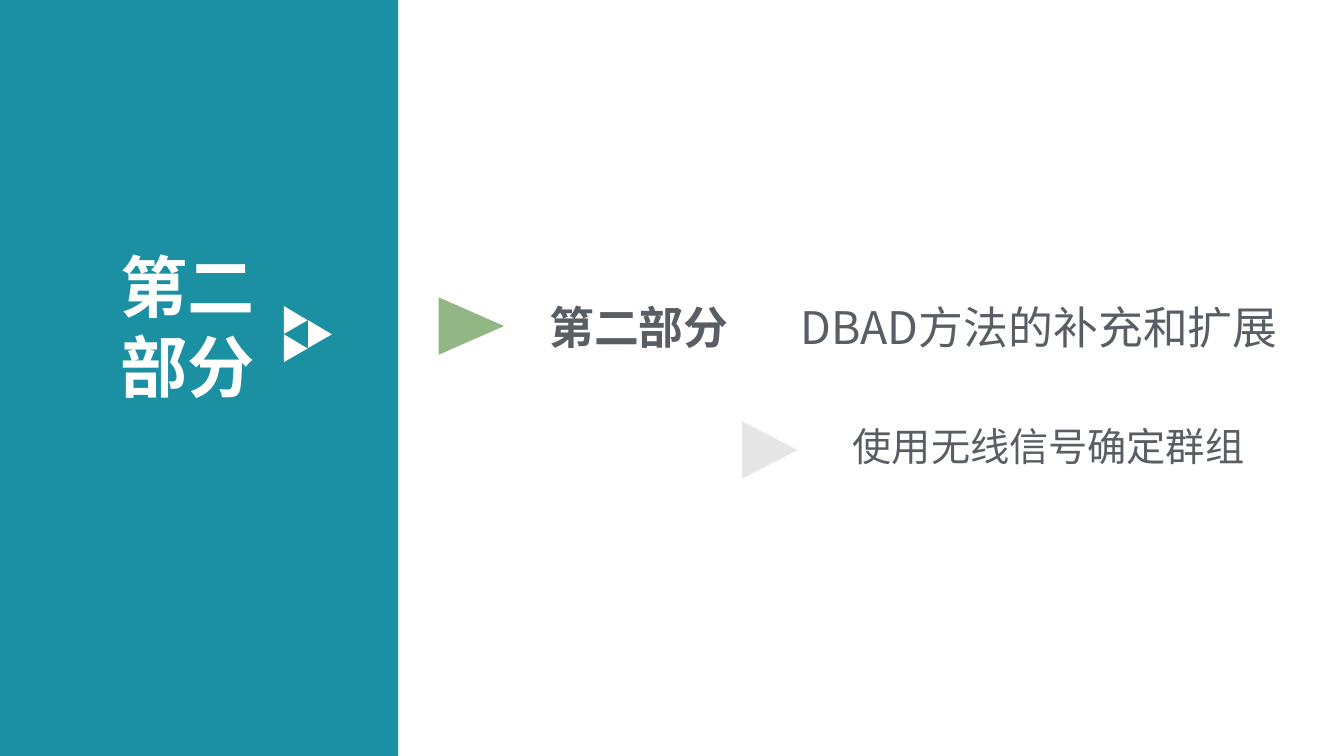
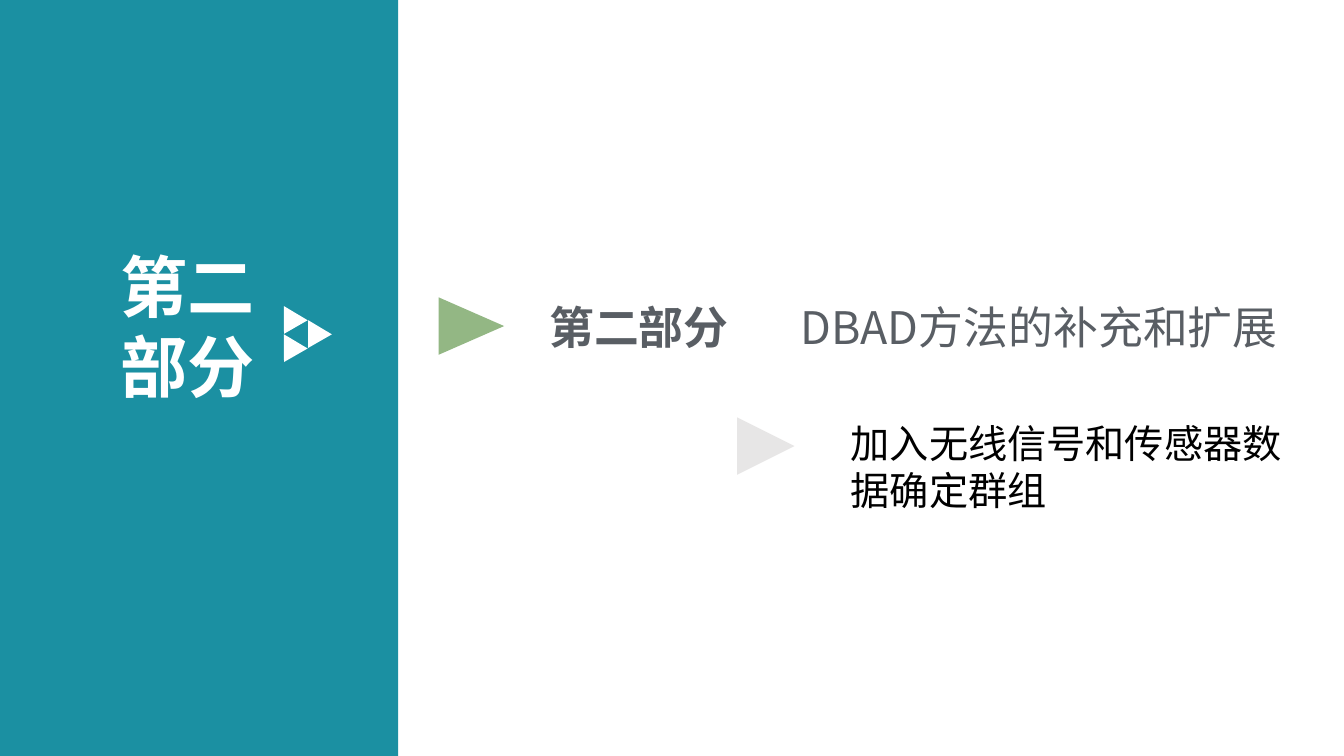
from dataclasses import dataclass

from pptx import Presentation
from pptx.dml.color import RGBColor as RGB
from pptx.enum.shapes import MSO_SHAPE as Shape
from pptx.enum.text import MSO_AUTO_SIZE as Fit
from pptx.oxml.ns import qn
from pptx.util import Inches, Pt

# Content: boxes are left, top, width, height in inches
PART = "第二部分"
TITLE = "DBAD方法的补充和扩展"
TOPICS = [
    {"text": "使用无线信号确定群组", "color": "595E64",
     "box": (8.36, 4.14, 4.46, 0.6), "mark": (7.35, 4.19, 0.57, 0.55)},
    {"text": "加入无线信号和传感器数据确定群组", "color": "000000",
     "box": (8.34, 4.11, 4.59, 1.07), "mark": (7.31, 4.14, 0.57, 0.57)},
]


@dataclass(frozen=True)
class Theme:
    font: str = "Noto Sans CJK SC"
    teal: str = "1B90A2"
    green: str = "93B784"
    pale: str = "E7E6E6"
    gray: str = "595E64"
    white: str = "FFFFFF"
    big: int = 48
    head: int = 32
    body: int = 28


T = Theme()


# Building blocks
def add_form(shapes, kind, box, color, turn=0):
    form = shapes.add_shape(kind, *map(Inches, box))
    form.shadow.inherit = False
    form.fill.solid()
    form.fill.fore_color.rgb = RGB.from_string(color)
    form.line.fill.background()
    form.rotation = turn


def add_text(shapes, text, box, size, color, bold=False):
    frame = shapes.add_textbox(*map(Inches, box)).text_frame
    frame.word_wrap = True
    frame.auto_size = Fit.SHAPE_TO_FIT_TEXT
    frame.text = text
    run = frame.paragraphs[0].runs[0]
    font = run.font
    font.name, font.size, font.bold = T.font, Pt(size), bold
    font.color.rgb = RGB.from_string(color)
    # East Asian glyphs take their own typeface
    east = run._r.get_or_add_rPr().makeelement(qn("a:ea"), {"typeface": T.font})
    font._element.find(qn("a:latin")).addnext(east)


# Parts shared by the slides
def add_band(slide):
    add_form(slide.shapes, Shape.RECTANGLE, (0, 0, 3.95, 7.5), T.teal)
    add_text(slide.shapes, PART, (1.1, 2.38, 1.74, 1.72), T.big, T.white, True)
    logo = slide.shapes.add_group_shape().shapes
    left, top, wide, high = 2.74, 3.02, 0.27, 0.24
    for col, row in [(0, 0), (0, 2), (1, 1)]:
        box = (left + col * high, top + row * 0.14, wide, high)
        add_form(logo, Shape.ISOSCELES_TRIANGLE, box, T.white, 330.2)


def add_head(slide):
    group = slide.shapes.add_group_shape().shapes
    add_form(group, Shape.ISOSCELES_TRIANGLE, (4.39, 2.91, 0.57, 0.65), T.green, 90)
    add_text(group, PART, (5.35, 2.92, 2.37, 0.67), T.head, T.gray, True)
    add_text(group, TITLE, (7.84, 2.92, 5.25, 0.67), T.head, T.gray)


# The topic that changes from slide to slide
def add_topic(slide, topic):
    group = slide.shapes.add_group_shape().shapes
    add_form(group, Shape.ISOSCELES_TRIANGLE, topic["mark"], T.pale, 90)
    add_text(group, topic["text"], topic["box"], T.body, topic["color"])


def main():
    deck = Presentation()
    deck.slide_width, deck.slide_height = Inches(13.33), Inches(7.5)
    for topic in TOPICS:
        slide = deck.slides.add_slide(deck.slide_layouts[6])
        add_band(slide)
        add_head(slide)
        add_topic(slide, topic)
    deck.save("out.pptx")


if __name__ == "__main__":
    main()
